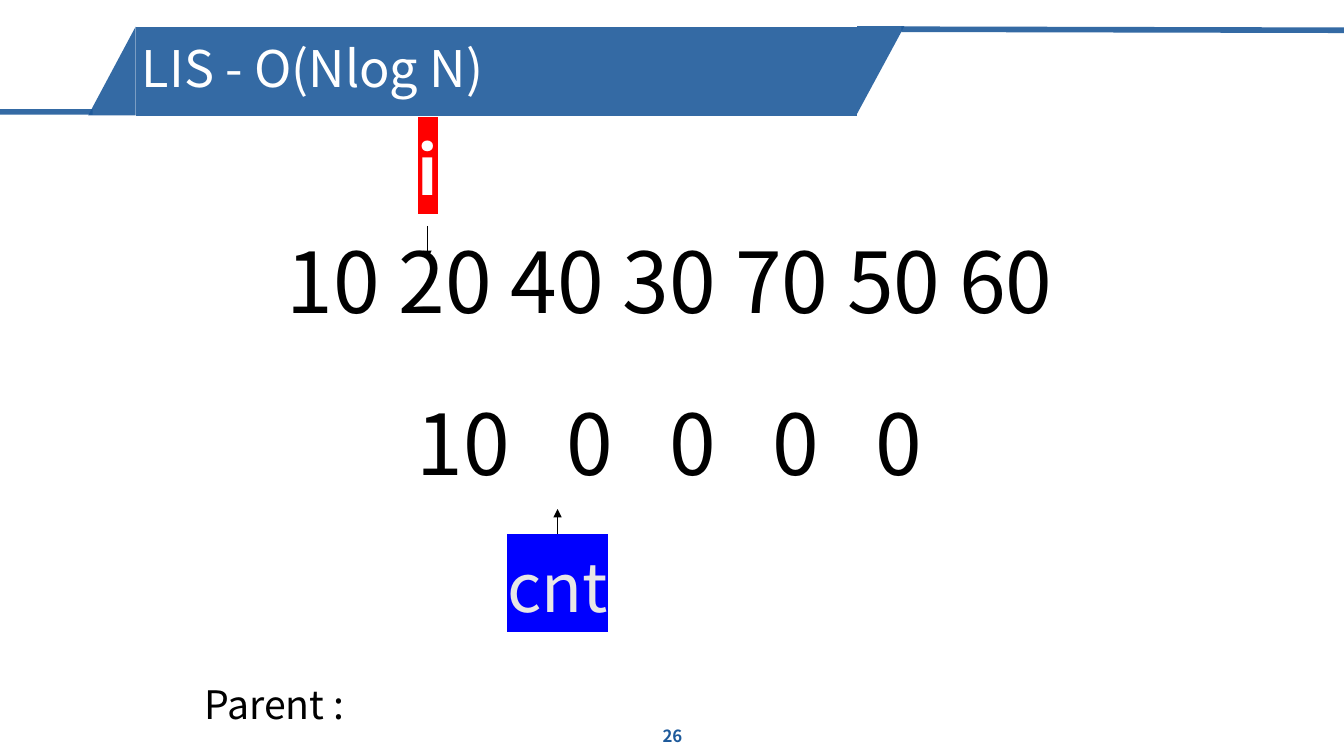
from lxml import etree
from pptx import Presentation
from pptx.dml.color import RGBColor
from pptx.enum.shapes import MSO_CONNECTOR, MSO_SHAPE
from pptx.enum.text import MSO_ANCHOR, PP_ALIGN
from pptx.oxml.ns import qn
from pptx.util import Inches, Pt

STRAIGHT = MSO_CONNECTOR.STRAIGHT
RECTANGLE, TRIANGLE = MSO_SHAPE.RECTANGLE, MSO_SHAPE.RIGHT_TRIANGLE
TOP, MIDDLE = MSO_ANCHOR.TOP, MSO_ANCHOR.MIDDLE
LEFT, CENTER = PP_ALIGN.LEFT, PP_ALIGN.CENTER
FONT = "Noto Sans CJK KR"
BLUE, BLACK, WHITE = "1E5A9B", "000000", "FFFFFF"
OPACITY = "90000"

deck = Presentation()
deck.slide_width, deck.slide_height = Inches(13.33), Inches(7.5)
page = deck.slides.add_slide(deck.slide_layouts[6])


def paint(color_format, color):
    """Set a font, fill or line colour from a hex string."""
    color_format.rgb = RGBColor.from_string(color)


def add_text(frame, lines, size, color, align=LEFT, anchor=TOP):
    """Add a text box at frame (left, top, width, height), one paragraph a line."""
    box = page.shapes.add_textbox(*map(Inches, frame))
    text_frame = box.text_frame
    text_frame.word_wrap = True
    text_frame.vertical_anchor = anchor
    text_frame.text = "\n".join(lines)
    for para in text_frame.paragraphs:
        para.alignment = align
        for span in para.runs:
            span.font.name, span.font.size = FONT, Pt(size)
            paint(span.font.color, color)
    return text_frame


# Title banner: a bar with a slanted end on each side
banner = [
    (TRIANGLE, 8.3, 0.46, 0.87, 0.47, 90),
    (TRIANGLE, 0.67, 0.47, 0.88, 0.47, 270),
    (RECTANGLE, 1.35, 0.27, 7.15, 0.88, 0),
]
for preset, left, top, width, height, angle in banner:
    part = page.shapes.add_shape(preset, *map(Inches, (left, top, width, height)))
    part.rotation = angle
    part.shadow.inherit = False
    part.fill.solid()
    paint(part.fill.fore_color, BLUE)
    part.line.fill.background()
    fill_color = part.fill._xPr.find(qn("a:solidFill"))[0]
    etree.SubElement(fill_color, qn("a:alpha"), val=OPACITY)

# Banner rules, then the arrows from the two index labels
connectors = [
    (0.92, 1.11, 0, 1.11, BLUE, 4, False),
    (13.33, 0.3, 8.94, 0.29, BLUE, 4, False),
    (4.24, 2.24, 4.24, 2.57, BLACK, 0.5, True),
    (5.53, 5.4, 5.53, 5.05, BLACK, 0.5, True),
]
for *ends, color, weight, has_arrow in connectors:
    connector = page.shapes.add_connector(STRAIGHT, *map(Inches, ends))
    connector.line.width = Pt(weight)
    paint(connector.line.color, color)
    line = connector.line._get_or_add_ln()
    if has_arrow:
        etree.SubElement(line, qn("a:tailEnd"), type="triangle")
    else:
        etree.SubElement(line.find(qn("a:solidFill"))[0], qn("a:alpha"), val=OPACITY)
    etree.SubElement(connector._element.spPr, qn("a:effectLst"))

title = add_text((1.31, 0.3, 7.15, 0.81), ["LIS - O(Nlog N)"], 36, WHITE, anchor=MIDDLE)
title.paragraphs[0].line_spacing = 0.9

page_number = add_text((5.17, 7.1, 3, 0.4), ["26"], 12, BLUE, CENTER, MIDDLE)
page_number.paragraphs[0].runs[0].font.bold = True

# Input sequence above the LIS array
sequence = add_text((0.89, 2.34, 11.5, 2.9), ["10 20 40 30 70 50 60", ""], 60, BLACK, CENTER)
for para in sequence.paragraphs:
    para.line_spacing = 0.9
lis_row = sequence.paragraphs[1]
lis_row.space_before = Pt(51)
for piece in ["10"] + [" ", "0"] * 4:
    span = lis_row.add_run()
    span.text = piece
    span.font.name, span.font.size = FONT, Pt(60)
    paint(span.font.color, BLACK)
    if piece == " ":
        span._r.get_or_add_rPr().set("spc", "2680")

# Highlighted index labels
labels = [
    ("i", 3.99, 1.22, 0.51, WHITE, "FF0000", True),
    ("cnt", 4.89, 5.36, 1.28, "E7E6E6", "0000FF", False),
]
for name, left, top, width, color, backdrop, bold in labels:
    label = add_text((left, top, width, 1.06), [name], 48, color, CENTER)
    span = label.paragraphs[0].runs[0]
    span.font.bold = bold
    highlight = etree.Element(qn("a:highlight"))
    etree.SubElement(highlight, qn("a:srgbClr"), val=backdrop)
    span._r.get_or_add_rPr().find(qn("a:solidFill")).addnext(highlight)

add_text((1.93, 6.7, 9.57, 0.66), ["Parent :"], 28, BLACK)

deck.save("out.pptx")
